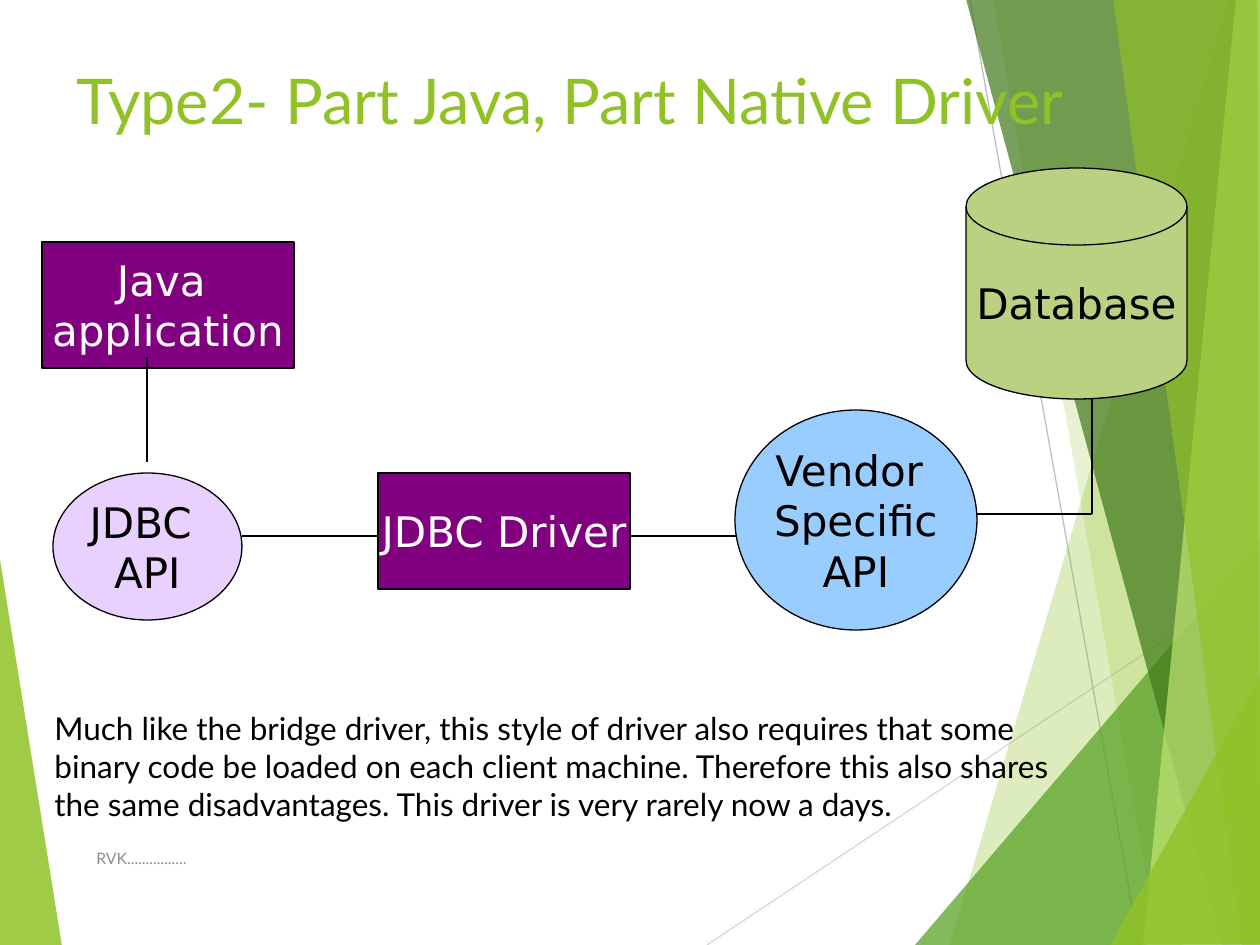
from lxml import etree
from pptx import Presentation
from pptx import util as u
from pptx.dml.color import RGBColor
from pptx.enum import shapes, text
from pptx.oxml.ns import qn

SCALE = 914400 / 126  # EMU per px
WIDE, HIGH = 1260, 945

WHITE = RGBColor(0xFF, 0xFF, 0xFF)
BLACK = RGBColor(0x00, 0x00, 0x00)
GRAY = RGBColor(0x8C, 0x8C, 0x8C)
SILVER = RGBColor(0xBF, 0xBF, 0xBF)
PALE = RGBColor(0xD9, 0xD9, 0xD9)
LIME = RGBColor(0x90, 0xC2, 0x26)
GREEN = RGBColor(0x54, 0xA0, 0x21)
FOREST = RGBColor(0x3F, 0x78, 0x19)
MINT = RGBColor(0xC0, 0xE4, 0x74)
PURPLE = RGBColor(0x80, 0x00, 0x80)
LILAC = RGBColor(0xE8, 0xD1, 0xFF)
SKY = RGBColor(0x99, 0xCC, 0xFF)
OLIVE = RGBColor(0xB9, 0xD1, 0x81)

RECT = shapes.MSO_SHAPE.RECTANGLE
OVAL = shapes.MSO_SHAPE.OVAL
DISK = shapes.MSO_SHAPE.FLOWCHART_MAGNETIC_DISK

# Corner points, colour and opacity in percent, from back to front
FACETS = [
    ([(950, 945), (1229, 0), (1261, 0), (1262, 946)], LIME, 30),
    ([(993, -1), (1158, 945), (1261, 945), (1261, -1)], LIME, 20),
    ([(915, 945), (1260, 541), (1261, 945)], GREEN, 72),
    ([(966, -1), (1222, 945), (1261, 944), (1261, -1)], FOREST, 70),
    ([(1236, -1), (1143, 945), (1261, 945), (1260, -1)], MINT, 70),
    ([(1113, -1), (1242, 945), (1260, 945), (1257, -1)], LIME, 65),
    ([(1110, 945), (1261, 674), (1261, 944)], LIME, 80),
]

# Shape, box, fill, text colour, lines of text
NODES = [
    (RECT, (42, 242, 252, 126), PURPLE, WHITE, ["Java ", "application"]),
    (OVAL, (53, 473, 189, 147), LILAC, BLACK, ["JDBC ", "API"]),
    (RECT, (378, 473, 252, 116), PURPLE, WHITE, ["JDBC Driver"]),
    (OVAL, (735, 410, 242, 220), SKY, BLACK, ["Vendor ", "Specific", "API"]),
    (DISK, (966, 168, 221, 231), OLIVE, BLACK, ["Database"]),
]

LINKS = [
    (147, 357, 147, 462),
    (242, 536, 378, 536),
    (630, 536, 746, 536),
    (977, 514, 1092, 514),
    (1092, 514, 1092, 399),
]


def px(*sizes):
    return [u.Emu(round(size * SCALE)) for size in sizes]


def write(frame, lines, font, size, color, align=text.PP_ALIGN.LEFT):
    for i, line in enumerate(lines):
        para = frame.paragraphs[0] if i == 0 else frame.add_paragraph()
        para.alignment = align
        run = para.add_run()
        run.text = line
        run.font.name = font
        run.font.size = u.Pt(size)
        run.font.color.rgb = color


def add_label(slide, box, words, size, color, anchor=text.MSO_ANCHOR.TOP):
    frame = slide.shapes.add_textbox(*px(*box)).text_frame
    frame.word_wrap = True
    frame.vertical_anchor = anchor
    write(frame, [words], "Lato", size, color)


def add_facet(slide, points, color, alpha):
    """Draw a see-through polygon of the backdrop."""
    pen = slide.shapes.build_freeform(*points[0], scale=SCALE)
    pen.add_line_segments(points[1:], close=True)
    shape = pen.convert_to_shape()
    shape.shadow.inherit = False
    shape.line.fill.background()
    shape.fill.solid()
    shape.fill.fore_color.rgb = color
    tint = shape.fill._xPr.find(".//" + qn("a:srgbClr"))
    etree.SubElement(tint, qn("a:alpha"), val=str(alpha * 1000))


def add_line(slide, ends, color):
    line = slide.shapes.add_connector(shapes.MSO_CONNECTOR.STRAIGHT, *px(*ends))
    line.line.color.rgb = color
    line.line.width = u.Pt(0.75)
    etree.SubElement(line._element.spPr, qn("a:effectLst"))


def add_node(slide, kind, box, fill, color, lines):
    shape = slide.shapes.add_shape(kind, *px(*box))
    shape.shadow.inherit = False
    shape.fill.solid()
    shape.fill.fore_color.rgb = fill
    shape.line.color.rgb = BLACK
    shape.line.width = u.Pt(0.75)
    frame = shape.text_frame
    frame.word_wrap = False
    frame.vertical_anchor = text.MSO_ANCHOR.MIDDLE
    write(frame, lines, "DejaVu Sans", 24, color, text.PP_ALIGN.CENTER)


def add_backdrop(slide):
    add_facet(slide, [(-1, 553), (62, 946), (-1, 945)], LIME, 85)
    add_line(slide, (707, 945, 1261, 576), PALE)
    add_line(slide, (970, 0, 1139, 945), SILVER)
    for facet in FACETS:
        add_facet(slide, *facet)


def main():
    deck = Presentation()
    deck.slide_width, deck.slide_height = px(WIDE, HIGH)
    slide = deck.slides.add_slide(deck.slide_layouts[6])
    add_backdrop(slide)
    add_label(slide, (64, 55, 1166, 158),
              "Type2- Part Java, Part Native Driver", 36, LIME)
    add_label(slide, (84, 833, 638, 50), "RVK................", 9, GRAY,
              text.MSO_ANCHOR.MIDDLE)
    for link in LINKS[:-1]:
        add_line(slide, link, BLACK)
    for node in NODES:
        add_node(slide, *node)
    # The first and last links lie over the nodes they meet
    for link in (LINKS[0], LINKS[-1]):
        add_line(slide, link, BLACK)
    add_label(
        slide, (42, 703, 1050, 127),
        "Much like the bridge driver, this style of driver also requires that "
        "some binary code be loaded on each client machine. Therefore this "
        "also shares the same disadvantages. This driver is very rarely now "
        "a days.", 18, BLACK)
    deck.save("out.pptx")


if __name__ == "__main__":
    main()
